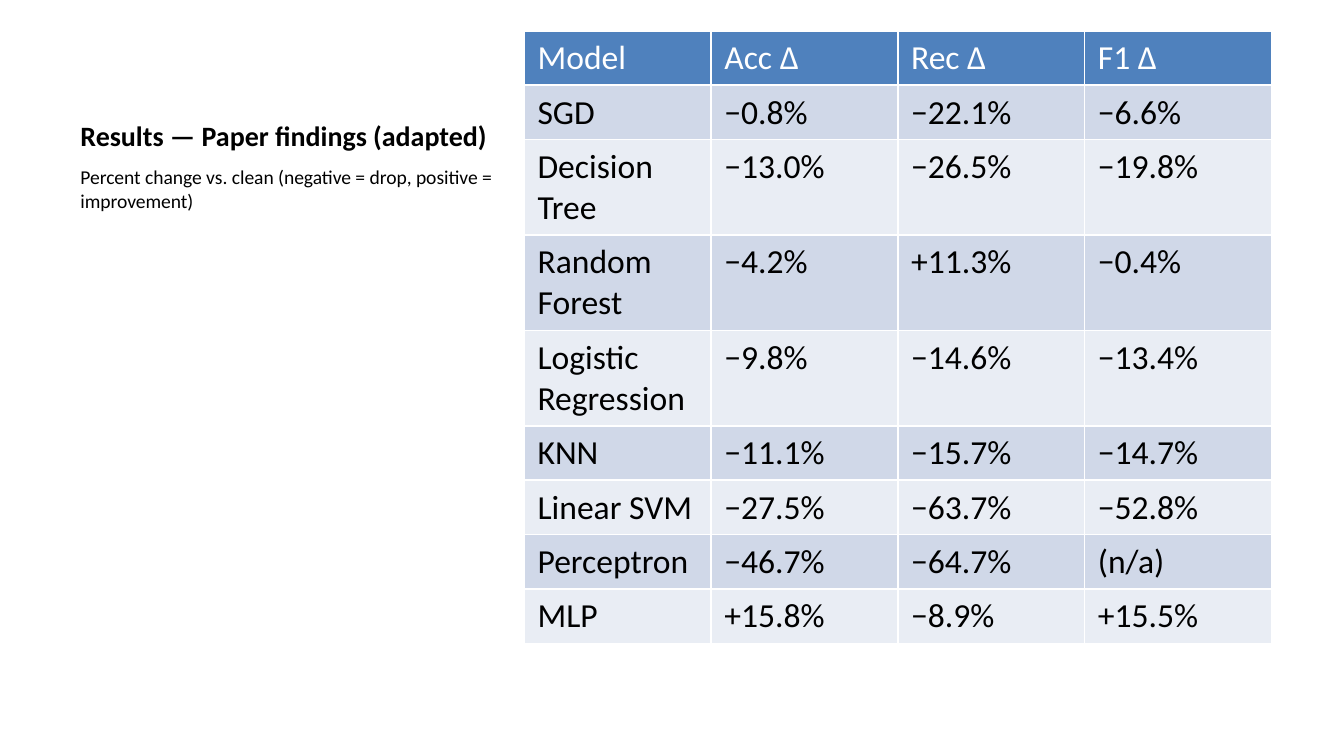
from typing import NamedTuple

from lxml.etree import SubElement
from pptx import Presentation
from pptx.dml.color import RGBColor
from pptx.enum.text import MSO_ANCHOR
from pptx.oxml.ns import qn
from pptx.slide import Slide
from pptx.table import _Cell
from pptx.text.text import _Paragraph
from pptx.util import Inches, Pt

FONT = "Calibri"
BLACK = RGBColor(0x00, 0x00, 0x00)
WHITE = RGBColor(0xFF, 0xFF, 0xFF)
HEADER_BLUE = RGBColor(0x4F, 0x81, 0xBD)
BAND_DARK = RGBColor(0xD0, 0xD8, 0xE8)
BAND_LIGHT = RGBColor(0xE9, 0xED, 0xF4)

SLIDE_WIDTH = 10
SLIDE_HEIGHT = SLIDE_WIDTH * 9 / 16
COLUMN_WIDTH = 1.39
TABLE_HEIGHT = 4.56
DOUBLE_LINE = 0.71
SINGLE_LINE = (TABLE_HEIGHT - 3 * DOUBLE_LINE) / 6


class Caption(NamedTuple):
    text: str
    top: float
    height: float
    size: float
    bold: bool
    anchor: MSO_ANCHOR
    space_before: float


class Result(NamedTuple):
    model: str
    accuracy: str
    recall: str
    f1: str
    height: float = SINGLE_LINE


CAPTIONS = [
    Caption("Results — Paper findings (adapted)", 0.23, 0.95, 15, True, MSO_ANCHOR.BOTTOM, 0),
    Caption(
        "Percent change vs. clean (negative = drop, positive = improvement)",
        1.18, 3.85, 10.5, False, MSO_ANCHOR.TOP, 2,
    ),
]

RESULTS = [
    Result("Model", "Acc Δ", "Rec Δ", "F1 Δ"),
    Result("SGD", "−0.8%", "−22.1%", "−6.6%"),
    Result("Decision Tree", "−13.0%", "−26.5%", "−19.8%", DOUBLE_LINE),
    Result("Random Forest", "−4.2%", "+11.3%", "−0.4%", DOUBLE_LINE),
    Result("Logistic Regression", "−9.8%", "−14.6%", "−13.4%", DOUBLE_LINE),
    Result("KNN", "−11.1%", "−15.7%", "−14.7%"),
    Result("Linear SVM", "−27.5%", "−63.7%", "−52.8%"),
    Result("Perceptron", "−46.7%", "−64.7%", "(n/a)"),
    Result("MLP", "+15.8%", "−8.9%", "+15.5%"),
]


def format_runs(paragraph: _Paragraph, size: float, color: RGBColor, bold: bool = False) -> None:
    for run in paragraph.runs:
        run.font.name = FONT
        run.font.size = Pt(size)
        run.font.bold = bold
        run.font.color.rgb = color


def add_caption(slide: Slide, caption: Caption) -> None:
    box = slide.shapes.add_textbox(
        Inches(0.5), Inches(caption.top), Inches(3.29), Inches(caption.height)
    )
    frame = box.text_frame
    frame.word_wrap = True
    frame.vertical_anchor = caption.anchor
    frame.text = caption.text
    paragraph = frame.paragraphs[0]
    paragraph.space_before = Pt(caption.space_before)
    format_runs(paragraph, caption.size, BLACK, caption.bold)


def set_borders(cell: _Cell) -> None:
    properties = cell._tc.get_or_add_tcPr()
    for tag in ("a:lnL", "a:lnR", "a:lnT", "a:lnB"):
        line = SubElement(properties, qn(tag), w=str(Pt(1)))
        fill = SubElement(line, qn("a:solidFill"))
        SubElement(fill, qn("a:srgbClr"), val=str(WHITE))


def fill_cell(cell: _Cell, text: str, row_index: int) -> None:
    is_header = row_index == 0
    set_borders(cell)
    band = BAND_DARK if row_index % 2 else BAND_LIGHT
    cell.fill.solid()
    cell.fill.fore_color.rgb = HEADER_BLUE if is_header else band
    cell.text_frame.text = text
    format_runs(cell.text_frame.paragraphs[0], 18, WHITE if is_header else BLACK)


def add_results_table(slide: Slide, results: list[Result]) -> None:
    column_count = 4
    table = slide.shapes.add_table(
        len(results), column_count, Inches(3.9), Inches(0.23),
        Inches(COLUMN_WIDTH * column_count), Inches(TABLE_HEIGHT),
    ).table
    for column in table.columns:
        column.width = Inches(COLUMN_WIDTH)
    for row_index, result in enumerate(results):
        table.rows[row_index].height = Inches(result.height)
        for column_index, text in enumerate(result[:column_count]):
            fill_cell(table.cell(row_index, column_index), text, row_index)


def main() -> None:
    presentation = Presentation()
    presentation.slide_width = Inches(SLIDE_WIDTH)
    presentation.slide_height = Inches(SLIDE_HEIGHT)
    slide = presentation.slides.add_slide(presentation.slide_layouts[6])
    for caption in CAPTIONS:
        add_caption(slide, caption)
    add_results_table(slide, RESULTS)
    presentation.save("out.pptx")


if __name__ == "__main__":
    main()
